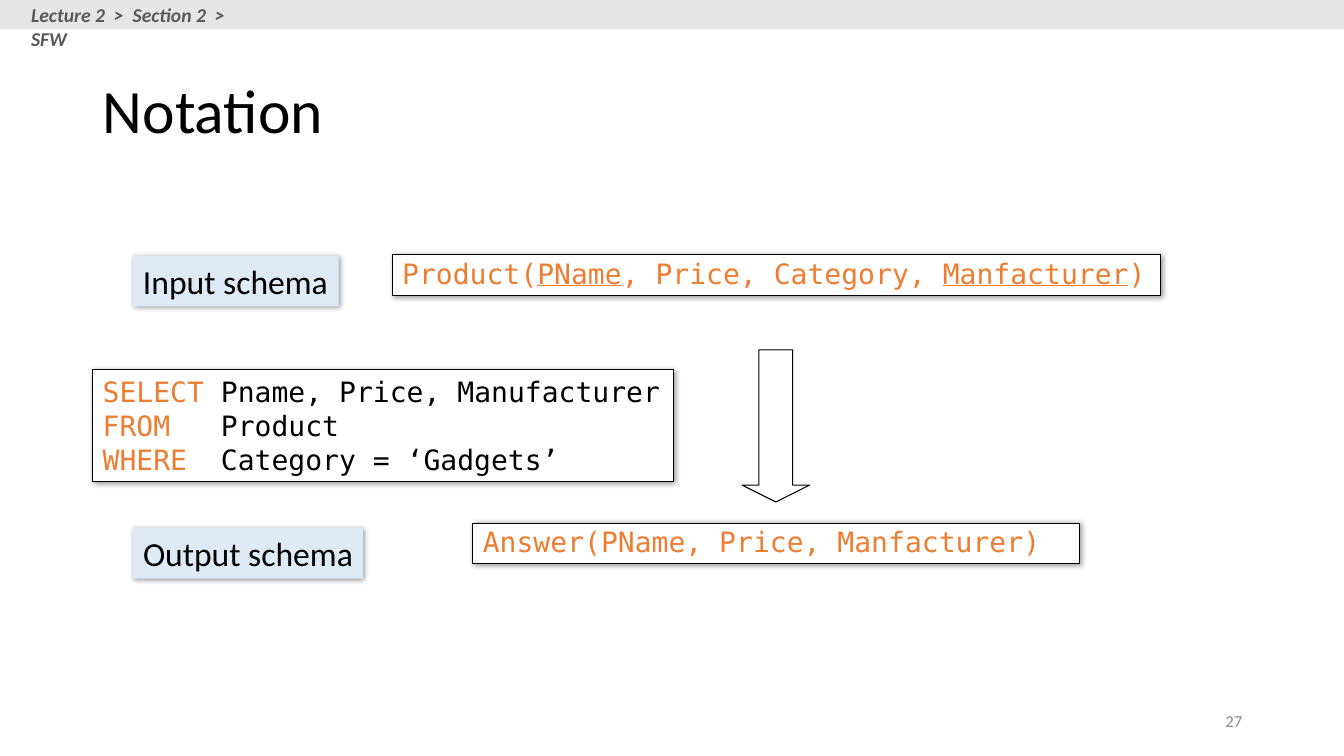
from dataclasses import dataclass, field

from lxml import etree
from pptx import Presentation
from pptx.dml.color import RGBColor
from pptx.enum import shapes, text
from pptx.oxml.ns import qn
from pptx.util import Inches, Pt


@dataclass(frozen=True)
class Theme:
    sans: str = "Calibri"
    mono: str = "DejaVu Sans Mono"
    black: str = "000000"
    white: str = "FFFFFF"
    accent: str = "ED7D31"
    label: str = "DEEBF7"
    band: str = "E7E6E6"
    trail: str = "595959"
    number: str = "8C8C8C"
    title_size: int = 44
    label_size: int = 24
    code_size: int = 20
    trail_size: int = 14
    number_size: int = 12
    outline: float = 0.75


THEME = Theme()


@dataclass(frozen=True)
class Span:
    words: str
    color: str = THEME.accent
    underline: bool = False


@dataclass(frozen=True)
class Card:
    """A shadowed box; each line is a list of spans."""
    left: float
    top: float
    width: float
    height: float
    lines: list[list[Span]]
    fill: str = THEME.white
    outlined: bool = True
    font: str = THEME.mono
    size: int = THEME.code_size
    wrap: bool = False
    spacing: float = 1.0


@dataclass(frozen=True)
class Label(Card):
    """A tinted caption without an outline."""
    fill: str = THEME.label
    outlined: bool = False
    font: str = THEME.sans
    size: int = THEME.label_size
    height: float = field(default=0.5, kw_only=True)


def rgb(code: str) -> RGBColor:
    return RGBColor.from_string(code)


def inches(*lengths: float) -> list[int]:
    return [Inches(length) for length in lengths]


def style(para, font: str, size: int, color: str) -> None:
    para.font.name = font
    para.font.size = Pt(size)
    para.font.color.rgb = rgb(color)


def cast_shadow(shape) -> None:
    """Give the shape a soft shadow to the lower right."""
    shape.shadow.inherit = False
    effects = shape._element.spPr.find(qn("a:effectLst"))
    shadow = etree.SubElement(effects, qn("a:outerShdw"), blurRad=str(Pt(4)),
                              dist=str(Pt(1)), dir=str(45 * 60000))
    color = etree.SubElement(shadow, qn("a:srgbClr"), val=THEME.black)
    etree.SubElement(color, qn("a:alpha"), val="40000")


def outline(shape) -> None:
    shape.line.color.rgb = rgb(THEME.black)
    shape.line.width = Pt(THEME.outline)


def draw_card(page, card: Card) -> None:
    box = page.shapes.add_shape(
        shapes.MSO_SHAPE.RECTANGLE,
        *inches(card.left, card.top, card.width, card.height))
    box.fill.solid()
    box.fill.fore_color.rgb = rgb(card.fill)
    if card.outlined:
        outline(box)
    else:
        box.line.fill.background()
    cast_shadow(box)
    frame = box.text_frame
    frame.word_wrap = card.wrap
    frame.vertical_anchor = text.MSO_ANCHOR.TOP
    para = frame.paragraphs[0]
    para.alignment = text.PP_ALIGN.LEFT
    para.line_spacing = card.spacing
    style(para, card.font, card.size, THEME.black)
    for index, line in enumerate(card.lines):
        if index:
            para.add_line_break()
        for span in line:
            run = para.add_run()
            run.text = span.words
            run.font.color.rgb = rgb(span.color)
            if span.underline:
                run.font.underline = True


def draw_header(page) -> None:
    header = page.shapes.add_group_shape()
    band = header.shapes.add_shape(shapes.MSO_SHAPE.RECTANGLE,
                                   *inches(0, 0, 13.33, 0.29))
    band.shadow.inherit = False
    band.fill.solid()
    band.fill.fore_color.rgb = rgb(THEME.band)
    band.line.fill.background()
    trail = header.shapes.add_textbox(*inches(0.21, -0.02, 2.5, 0.34))
    trail.text_frame.word_wrap = True
    para = trail.text_frame.paragraphs[0]
    para.text = "Lecture 2  >  Section 2  >  SFW"
    style(para, THEME.sans, THEME.trail_size, THEME.trail)
    para.font.bold = para.font.italic = True


def draw_title(page) -> None:
    title = page.shapes.title
    title.left, title.top, title.width, title.height = inches(0.92, 0.4, 11.5, 1.45)
    title.text_frame.vertical_anchor = text.MSO_ANCHOR.MIDDLE
    para = title.text_frame.paragraphs[0]
    para.text = "Notation"
    para.alignment = text.PP_ALIGN.LEFT
    para.line_spacing = 0.9
    style(para, THEME.sans, THEME.title_size, THEME.black)


def draw_number(page) -> None:
    box = page.shapes.add_textbox(*inches(9.42, 6.95, 3, 0.4))
    box.text_frame.word_wrap = True
    box.text_frame.vertical_anchor = text.MSO_ANCHOR.MIDDLE
    para = box.text_frame.paragraphs[0]
    para.text = "27"
    para.alignment = text.PP_ALIGN.RIGHT
    style(para, THEME.sans, THEME.number_size, THEME.number)


def draw_arrow(page) -> None:
    arrow = page.shapes.add_shape(shapes.MSO_SHAPE.DOWN_ARROW,
                                  *inches(7.36, 3.47, 0.67, 1.51))
    arrow.adjustments[0], arrow.adjustments[1] = 0.5, 0.25
    arrow.shadow.inherit = False
    arrow.fill.background()
    outline(arrow)


QUERY = [("SELECT", " Pname, Price, Manufacturer"),
         ("FROM", "   Product"),
         ("WHERE", "  Category = ‘Gadgets’")]
INPUT_SCHEMA = [Span("Product("), Span("PName", underline=True),
                Span(", Price, Category, "),
                Span("Manfacturer", underline=True), Span(")")]
CARDS = [
    Card(0.92, 3.67, 5.76, 1.11,
         [[Span(keyword), Span(rest, THEME.black)] for keyword, rest in QUERY]),
    Card(3.89, 2.53, 7.62, 0.4, [INPUT_SCHEMA], wrap=True, spacing=0.9),
    Card(4.69, 5.19, 6.02, 0.4, [[Span("Answer(PName, Price, Manfacturer)")]],
         wrap=True, spacing=0.9),
    Label(1.32, 2.54, 2.04, lines=[[Span("Input schema", THEME.black)]]),
    Label(1.32, 5.24, 2.28, lines=[[Span("Output schema", THEME.black)]]),
]


def main() -> None:
    deck = Presentation()
    deck.slide_width, deck.slide_height = inches(13.33, 7.5)
    page = deck.slides.add_slide(deck.slide_layouts.get_by_name("Title Only"))
    draw_number(page)
    draw_title(page)
    draw_header(page)
    draw_arrow(page)
    for card in CARDS:
        draw_card(page, card)
    deck.save("out.pptx")


if __name__ == "__main__":
    main()
